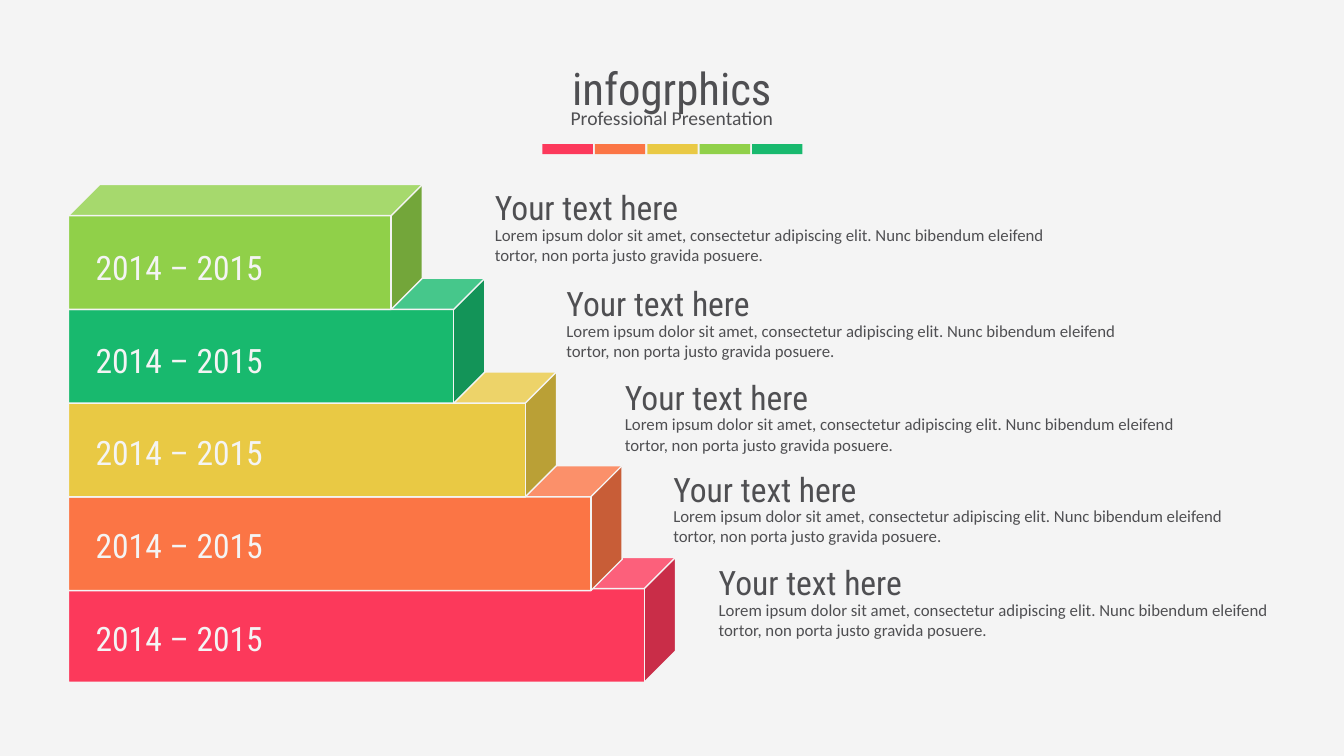
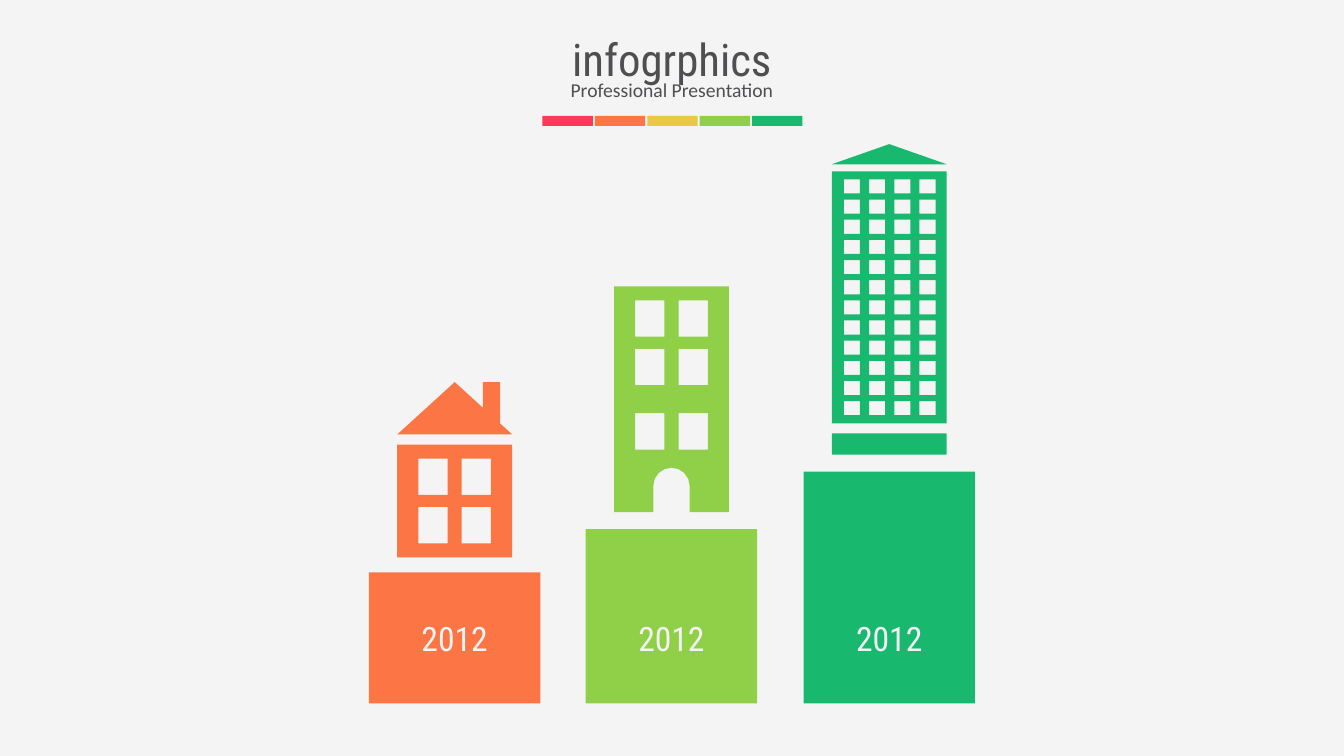
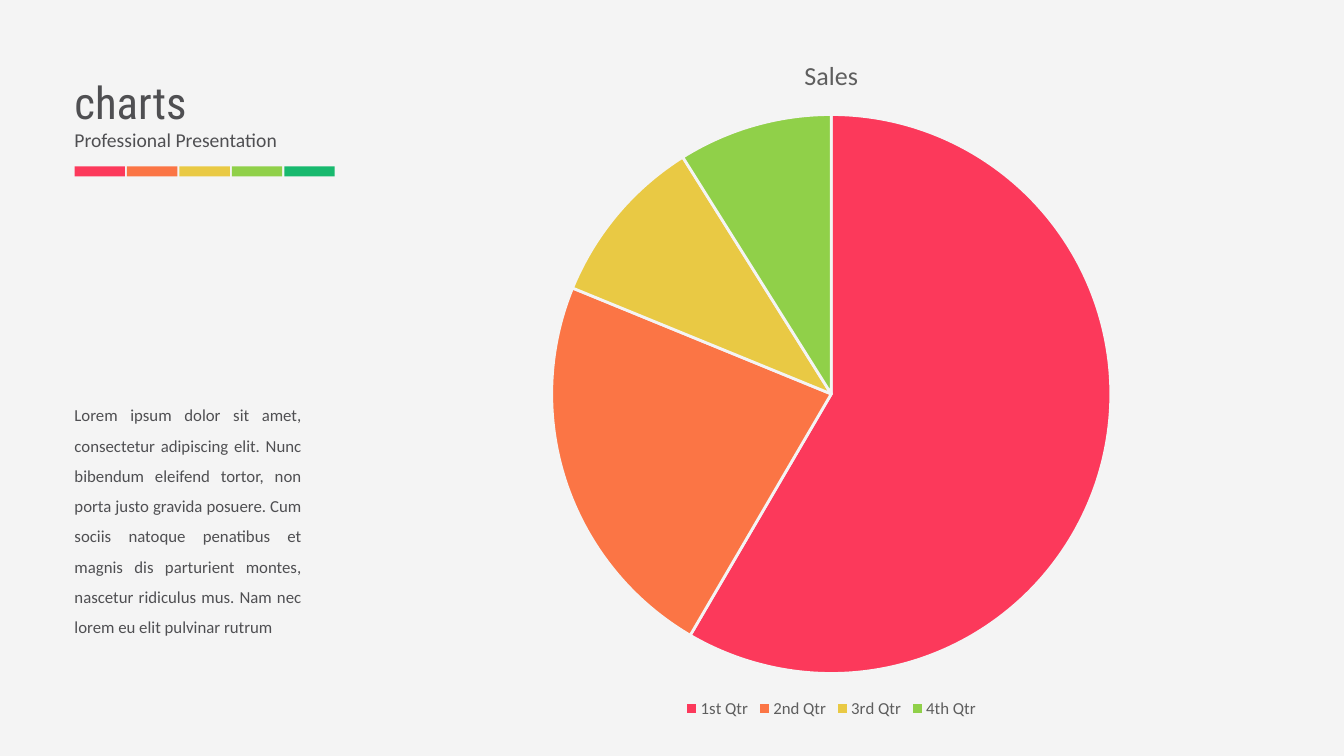
"""Build three infographic slides: steps, growing buildings and a pie chart."""
from math import cos, pi, sin

from pptx import Presentation
from pptx.chart.data import CategoryChartData
from pptx.dml.color import RGBColor
from pptx.enum.chart import XL_CHART_TYPE, XL_LEGEND_POSITION
from pptx.enum.shapes import MSO_SHAPE
from pptx.enum.text import MSO_AUTO_SIZE, PP_ALIGN
from pptx.util import Inches, Pt

COLORS = {
    "paper": "F4F4F4",
    "ink": "4F4F52",
    "chart_text": "5E5E5E",
    "red": "FC395B",
    "orange": "FB7545",
    "yellow": "E9C944",
    "lime": "90D049",
    "green": "18B96E",
}
PALETTE = ("red", "orange", "yellow", "lime", "green")
HEADING_FONT = "Roboto Condensed"
BODY_FONT = "Calibri"
LOREM = (
    "Lorem ipsum dolor sit amet, consectetur adipiscing elit. "
    "Nunc bibendum eleifend tortor, non porta justo gravida posuere."
)
LOREM_MORE = (
    " Cum sociis natoque penatibus et magnis dis parturient montes, "
    "nascetur ridiculus mus. Nam nec lorem eu elit pulvinar rutrum"
)
BUILDING_WIDTH = 1.14
STOREY_HEIGHT = 1.12


def rgb(name):
    return RGBColor.from_string(COLORS[name])


def add_slide(presentation):
    slide = presentation.slides.add_slide(presentation.slide_layouts[6])
    slide.background.fill.solid()
    slide.background.fill.fore_color.rgb = rgb("paper")
    return slide


def style_font(font, size, color, name):
    font.size = Pt(size)
    font.name = name
    font.color.rgb = rgb(color)


def add_text(shapes, text, box, size, color="ink", font=BODY_FONT,
             align=PP_ALIGN.LEFT, line_spacing=None):
    text_frame = shapes.add_textbox(*map(Inches, box)).text_frame
    text_frame.word_wrap = True
    text_frame.auto_size = MSO_AUTO_SIZE.SHAPE_TO_FIT_TEXT
    text_frame.text = text
    paragraph = text_frame.paragraphs[0]
    paragraph.alignment = align
    paragraph.line_spacing = line_spacing
    style_font(paragraph.runs[0].font, size, color, font)


def paint(shape, color, outlined=False):
    shape.shadow.inherit = False
    shape.fill.solid()
    shape.fill.fore_color.rgb = rgb(color)
    if outlined:
        shape.line.color.rgb = rgb("paper")
        shape.line.width = Pt(1)
    else:
        shape.line.fill.background()


def add_block(shapes, box, color, kind=MSO_SHAPE.RECTANGLE, outlined=False):
    paint(shapes.add_shape(kind, *map(Inches, box)), color, outlined)


def add_outline(shapes, origin, contours, color):
    left, top = origin
    placed = [[(Inches(left + x), Inches(top + y)) for x, y in contour]
              for contour in contours]
    builder = shapes.build_freeform(*placed[0][0], scale=1.0)
    builder.add_line_segments(placed[0][1:], close=True)
    for contour in placed[1:]:
        builder.move_to(*contour[0])
        builder.add_line_segments(contour[1:], close=True)
    paint(builder.convert_to_shape(), color)


def rectangle(left, top, width, height):
    right, bottom = left + width, top + height
    return [(left, top), (right, top), (right, bottom), (left, bottom)]


def window_grid(first, step, size, columns, rows):
    return [rectangle(first[0] + column * step[0], first[1] + row * step[1], *size)
            for row in range(rows) for column in range(columns)]


def house_windows(rows):
    return window_grid((0.21, 0.14), (0.43, 0.48), (0.29, 0.36), 2, rows)


def add_header(slide, title, top, centered=True):
    shapes = slide.shapes.add_group_shape().shapes
    if centered:
        align, title_left, title_width = PP_ALIGN.CENTER, 0, 13.33
        subtitle_left, subtitle_width, bar_left = 0.68, 11.97, 5.38
        subtitle_top = top + 0.45
    else:
        align, title_left, title_width = PP_ALIGN.LEFT, 0.64, 6.42
        subtitle_left, subtitle_width, bar_left = 0.64, 5.73, 0.74
        subtitle_top = top + 0.53
    add_text(shapes, title, (title_left, top, title_width, 0.64), 32,
             font=HEADING_FONT, align=align)
    add_text(shapes, "Professional Presentation",
             (subtitle_left, subtitle_top, subtitle_width, 0.34), 14, align=align)
    for index, color in enumerate(PALETTE):
        add_block(shapes, (bar_left + index * 0.52, subtitle_top + 0.43, 0.5, 0.1), color)


def add_steps(slide):
    steps = (
        ("red", 5.53, 6.02, 7.03, 5.53),
        ("orange", 4.62, 5.49, 6.58, 4.6),
        ("yellow", 3.69, 4.84, 6.1, 3.69),
        ("green", 2.76, 4.13, 5.52, 2.76),
        ("lime", 1.83, 3.51, 4.81, 1.81),
    )
    shapes = slide.shapes
    for color, top, width, _, _ in steps:
        add_block(shapes, (0.68, top, width, 1.24), color, MSO_SHAPE.CUBE, outlined=True)
    for index, (_, _, _, left, top) in enumerate(steps):
        add_text(shapes, LOREM, (left, top + 0.37, 5.76, 0.5), 12)
        add_text(shapes, "Your text here", (left, top, 3.17, 0.5), 24, font=HEADING_FONT)
        add_text(shapes, "2014 – 2015", (0.85, 6.08 - index * 0.92, 3.17, 0.5), 24,
                 "paper", HEADING_FONT)


def add_plinth(slide, left, top, color):
    add_block(slide.shapes, (left, top, 1.7, 6.98 - top), color)
    add_text(slide.shapes, "2012", (left, 6.08, 1.7, 0.5), 24, "paper",
             HEADING_FONT, PP_ALIGN.CENTER)


def add_roof(shapes, left, top, height, color):
    roof = [(BUILDING_WIDTH / 2, 0), (BUILDING_WIDTH, height), (0, height)]
    add_outline(shapes, (left, top), [roof], color)


def add_house(slide, left, color):
    shapes = slide.shapes.add_group_shape().shapes
    add_roof(shapes, left, 3.79, 0.52, color)
    add_block(shapes, (left + 0.85, 3.79, 0.17, 0.41), color)
    wall = rectangle(0, 0, BUILDING_WIDTH, STOREY_HEIGHT)
    add_outline(shapes, (left, 4.41), house_windows(2) + [wall], color)


def add_apartments(slide, left, color):
    shapes = slide.shapes.add_group_shape().shapes
    wall = rectangle(0, 0, BUILDING_WIDTH, STOREY_HEIGHT)
    add_outline(shapes, (left, 2.84), house_windows(2) + [wall], color)
    center, radius, arch_top = BUILDING_WIDTH / 2, 0.18, 0.86
    arch = [(center + radius * cos(step * pi / 8), arch_top - radius * sin(step * pi / 8))
            for step in range(9)]
    door = [(center + radius, STOREY_HEIGHT), *arch, (center - radius, STOREY_HEIGHT)]
    entrance = wall[:3] + door + wall[3:]
    add_outline(shapes, (left, 3.96), house_windows(1) + [entrance], color)


def add_tower(slide, left, color):
    shapes = slide.shapes.add_group_shape().shapes
    add_roof(shapes, left, 1.43, 0.2, color)
    add_block(shapes, (left, 4.3, BUILDING_WIDTH, 0.21), color)
    windows = window_grid((0.12, 0.08), (0.25, 0.2), (0.16, 0.14), 4, 12)
    wall = rectangle(0, 0, BUILDING_WIDTH, 2.5)
    add_outline(shapes, (left, 1.7), windows + [wall], color)


def add_buildings(slide):
    buildings = (
        (add_house, 3.66, 5.68, "orange"),
        (add_apartments, 5.81, 5.25, "lime"),
        (add_tower, 7.97, 4.68, "green"),
    )
    for add_building, left, top, color in buildings:
        add_plinth(slide, left, top, color)
        add_building(slide, left + 0.28, color)


def add_sales_pie(slide):
    data = CategoryChartData()
    data.categories = ["1st Qtr", "2nd Qtr", "3rd Qtr", "4th Qtr"]
    data.add_series("Sales", (59, 23, 10, 9))
    box = map(Inches, (3.16, 0.33, 10.17, 6.84))
    chart = slide.shapes.add_chart(XL_CHART_TYPE.PIE, *box, data).chart
    style_font(chart.font, 10, "chart_text", BODY_FONT)
    chart.has_title = True
    chart.chart_title.include_in_layout = False
    chart.chart_title.text_frame.text = "Sales"
    title_font = chart.chart_title.text_frame.paragraphs[0].runs[0].font
    style_font(title_font, 18.6, "chart_text", BODY_FONT)
    title_font.bold = False
    chart.has_legend = True
    chart.legend.position = XL_LEGEND_POSITION.BOTTOM
    chart.legend.include_in_layout = False
    style_font(chart.legend.font, 12, "chart_text", BODY_FONT)
    plot = chart.plots[0]
    plot.vary_by_categories = True
    for index, color in enumerate(PALETTE[:4]):
        slice_format = plot.series[0].points[index].format
        slice_format.fill.solid()
        slice_format.fill.fore_color.rgb = rgb(color)
        slice_format.line.color.rgb = rgb("paper")
        slice_format.line.width = Pt(2)


def main():
    presentation = Presentation()
    presentation.slide_width = Inches(13.33)
    presentation.slide_height = Inches(7.5)

    steps_slide = add_slide(presentation)
    add_header(steps_slide, "infogrphics", 0.55)
    add_steps(steps_slide)

    buildings_slide = add_slide(presentation)
    add_buildings(buildings_slide)
    add_header(buildings_slide, "infogrphics", 0.27)

    chart_slide = add_slide(presentation)
    add_sales_pie(chart_slide)
    add_text(chart_slide.shapes, LOREM + LOREM_MORE, (0.64, 3.87, 2.45, 2.52), 12,
             align=PP_ALIGN.JUSTIFY, line_spacing=1.5)
    add_header(chart_slide, "charts", 0.69, centered=False)

    presentation.save("out.pptx")


if __name__ == "__main__":
    main()
